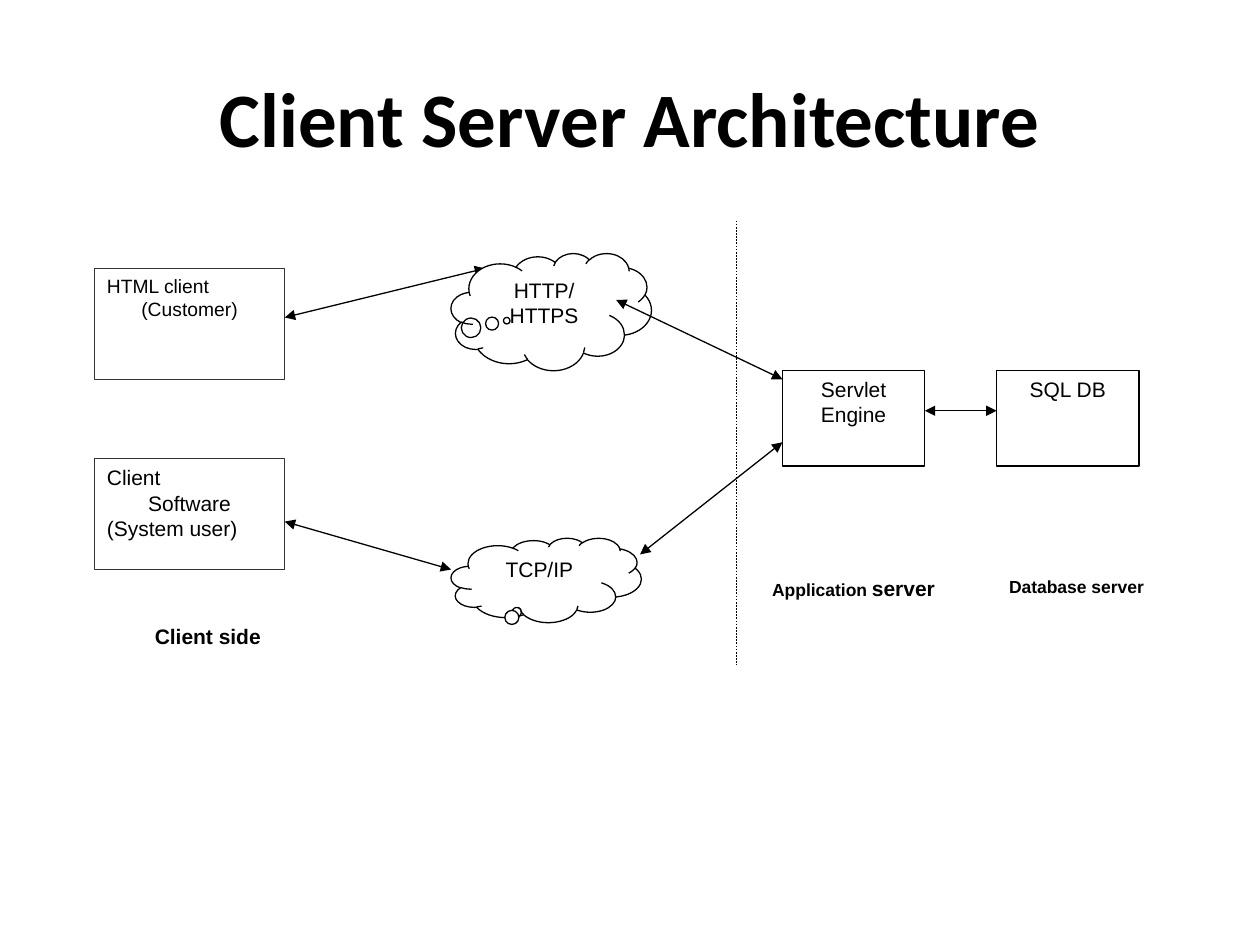
from lxml import etree
from pptx import Presentation
from pptx.dml.color import RGBColor
from pptx.enum.dml import MSO_LINE
from pptx.enum.shapes import MSO_CONNECTOR, MSO_SHAPE
from pptx.enum.text import MSO_ANCHOR, PP_ALIGN
from pptx.oxml.ns import qn
from pptx.util import Pt

PX = 9144  # 100 px to the inch
RECTANGLE, CLOUD = MSO_SHAPE.RECTANGLE, MSO_SHAPE.CLOUD_CALLOUT
STRAIGHT, DASH = MSO_CONNECTOR.STRAIGHT, MSO_LINE.DASH
LEFT, CENTER = PP_ALIGN.LEFT, PP_ALIGN.CENTER
TOP, MIDDLE = MSO_ANCHOR.TOP, MSO_ANCHOR.MIDDLE
COLORS = {"black": "000000", "gray": "333333", "white": "FFFFFF"}


def color(name):
    return RGBColor.from_string(COLORS[name])


def format_run(run, size, bold=False, font="Arial"):
    run.font.name = font
    run.font.size = Pt(size)
    run.font.bold = bold
    run.font.color.rgb = color("black")


def add_node(slide, box, lines, size=12, bold=False, outline="black",
             kind=RECTANGLE, tail=None):
    """Add a white shape; lines holds (text, alignment) pairs."""
    shape = slide.shapes.add_shape(kind, *(value * PX for value in box))
    shape.shadow.inherit = False
    shape.fill.solid()
    shape.fill.fore_color.rgb = color("white")
    shape.line.color.rgb = color(outline)
    shape.line.width = Pt(0.75)
    if tail:
        shape.adjustments[0], shape.adjustments[1] = tail
    frame = shape.text_frame
    frame.word_wrap = True
    frame.vertical_anchor = TOP
    frame.text = "\n".join(text for text, _ in lines)
    for paragraph, (_, alignment) in zip(frame.paragraphs, lines):
        paragraph.alignment = alignment
        for run in paragraph.runs:
            format_run(run, size, bold)
    return shape


def add_label(slide, box, text, size):
    return add_node(slide, box, [(text, LEFT)], size, bold=True, outline="white")


def add_line(slide, start, end, width=0.75):
    line = slide.shapes.add_connector(
        STRAIGHT, *(value * PX for value in (*start, *end)))
    line.line.color.rgb = color("black")
    line.line.width = Pt(width)
    etree.SubElement(line._element.spPr, qn("a:effectLst"))
    return line


def add_double_arrow(slide, start, end):
    line = add_line(slide, start, end)
    outline = line.line._get_or_add_ln()
    for name in ("a:headEnd", "a:tailEnd"):
        etree.SubElement(outline, qn(name), type="triangle")


def add_title(slide, box, text):
    title = slide.shapes.title
    title.left, title.top, title.width, title.height = (v * PX for v in box)
    title.text_frame.text = text
    title.text_frame.vertical_anchor = MIDDLE
    paragraph = title.text_frame.paragraphs[0]
    paragraph.alignment = CENTER
    format_run(paragraph.runs[0], 44, True, "Calibri")


def add_client_side(slide, left, top):
    width, height = 151, 88
    right = left + width
    add_node(slide, (left, top, width, height),
             [("HTML client", LEFT), ("(Customer)", CENTER)], 11, outline="gray")
    add_node(slide, (left, top + 151, width, height),
             [("Client", LEFT), ("Software", CENTER), ("(System user)", LEFT)],
             outline="gray")
    add_label(slide, (left + 38, top + 277, width, 31), "Client side", 12)
    add_double_arrow(slide, (right, top + 39), (right + 159, top))
    add_double_arrow(slide, (right, top + 201), (right + 132, top + 239))


def add_network(slide, left, top):
    add_node(slide, (left, top, 159, 93), [("HTTP/HTTPS", CENTER)],
             kind=CLOUD, tail=(-0.222, 0.076))
    add_node(slide, (left, top + 226, 151, 67), [("TCP/IP", CENTER)],
             kind=CLOUD, tail=(-0.146, 0.357))


def add_server_side(slide, left, top):
    """Add the divider, both servers and the arrows that reach them."""
    width, height = 113, 76
    application, database = left + 37, left + 207
    server_top, label_top = top + 119, top + 277
    divider = add_line(slide, (left, top), (left, top + 353), 0.25)
    divider.line.dash_style = DASH

    for server_left, name in ((application, "Servlet Engine"), (database, "SQL DB")):
        add_node(slide, (server_left, server_top, width, height), [(name, CENTER)])

    label = add_label(slide, (application - 18, label_top, 151, 50),
                      "Application ", 10)
    run = label.text_frame.paragraphs[0].add_run()
    run.text = "server"
    format_run(run, 12, True)
    add_label(slide, (database, label_top, 151, 50), "Database server", 10)

    add_double_arrow(slide, (left - 95, top + 63), (application, server_top + 7))
    add_double_arrow(slide, (left - 76, top + 265), (application, server_top + 57))
    add_double_arrow(slide, (application + width, server_top + 32),
                     (database, server_top + 32))


def main():
    presentation = Presentation()
    presentation.slide_width, presentation.slide_height = 1000 * PX, 750 * PX
    slide = presentation.slides.add_slide(presentation.slide_layouts[5])
    add_title(slide, (50, 30, 900, 125), "Client Server Architecture")
    add_client_side(slide, 75, 213)
    add_network(slide, 358, 201)
    add_server_side(slide, 584, 175)
    presentation.save("out.pptx")


if __name__ == "__main__":
    main()
